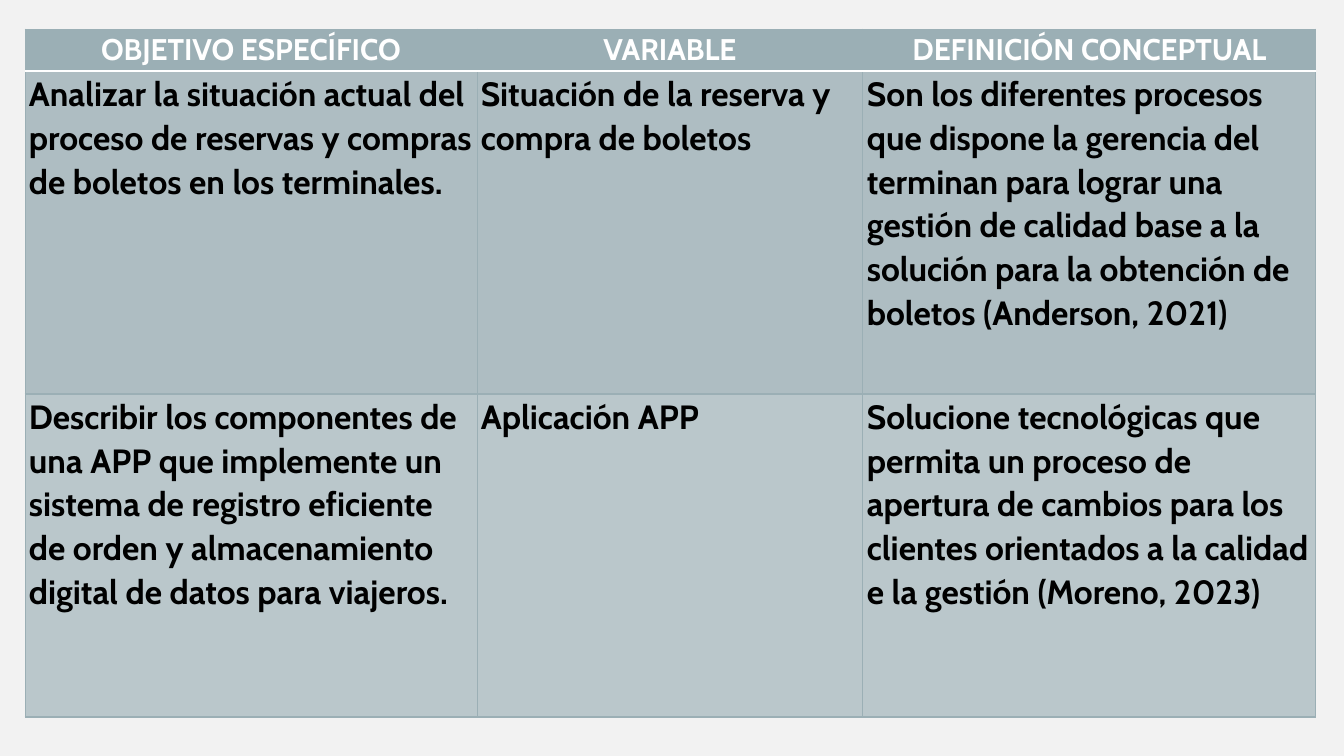
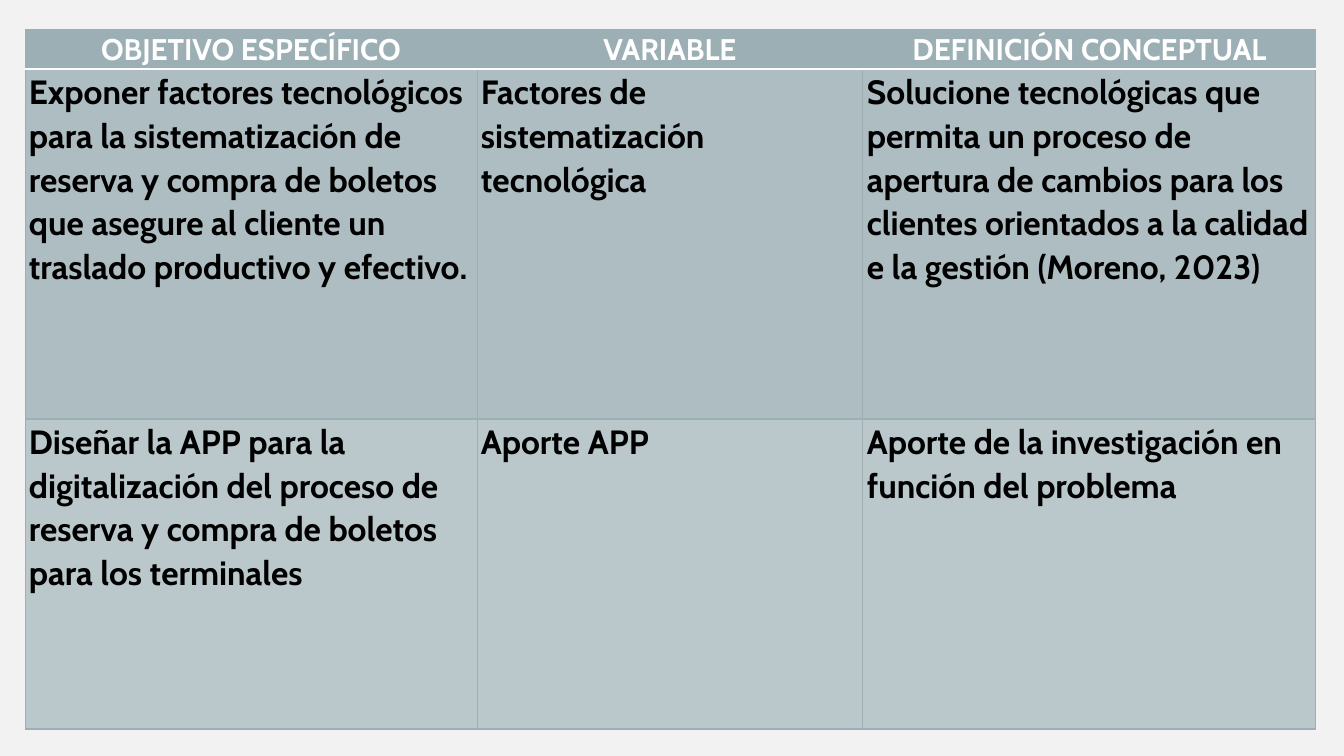
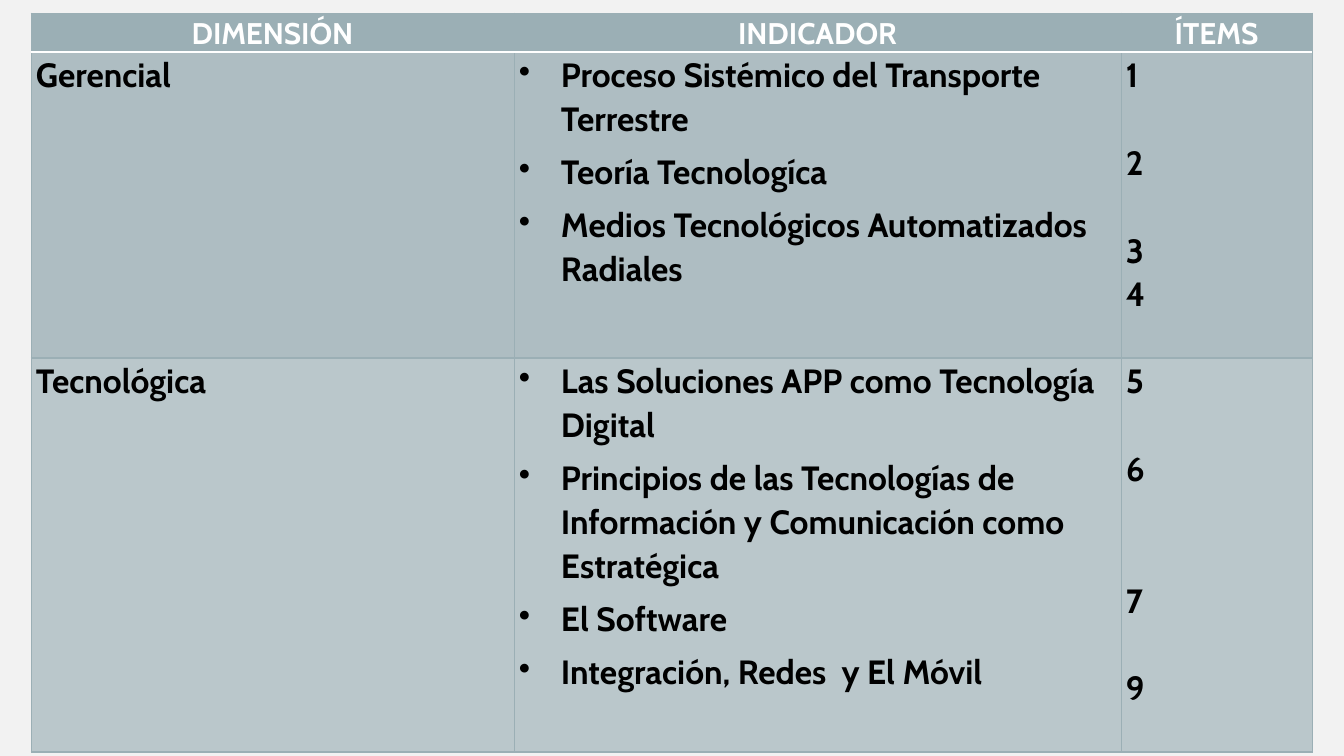
import pptx
import pptx.dml.color
import pptx.enum.text
import pptx.oxml
import pptx.oxml.ns
import pptx.util

PX = 914400 * 10 / 1344
FONT = "Cabin"
COLORS = {
    "page": "F2F2F2",
    "accent": "9BAFB5",
    "first": "AEBDC2",
    "second": "BAC7CB",
    "white": "FFFFFF",
    "text": "000000",
}
ROW_FILLS = ["accent", "first", "second"]
# Colour and width in points of each row's top and bottom edges
ROW_EDGES = [
    {"T": ("accent", 0.5), "B": ("white", 1)},
    {"T": ("accent", 0.5), "B": ("accent", 0.5)},
    {"T": ("accent", 1), "B": ("accent", 1)},
]
SIDE_EDGES = {"L": ("accent", 0.5), "R": ("accent", 0.5)}
BULLET_INDENT = 42
LINE = 44

OBJECTIVE_HEADERS = ["OBJETIVO ESPECÍFICO", "VARIABLE", "DEFINICIÓN CONCEPTUAL"]
OBJECTIVE_COLUMNS = [452, 386, 453]
TECHNOLOGY_DEFINITION = (
    "Solucione tecnológicas que permita un proceso de apertura de cambios para los "
    "clientes orientados a la calidad e la gestión (Moreno, 2023)"
)
CURRENT_OBJECTIVES = [
    [
        "Analizar la situación actual del proceso de reservas y compras de boletos "
        "en los terminales.",
        "Situación de la reserva y compra de boletos",
        "Son los diferentes procesos que dispone la gerencia del terminan para lograr "
        "una gestión de calidad base a la solución para la obtención de boletos "
        "(Anderson, 2021)",
    ],
    [
        "Describir los componentes de una APP que implemente un sistema de registro "
        "eficiente de orden y almacenamiento digital de datos para viajeros.",
        "Aplicación APP",
        TECHNOLOGY_DEFINITION,
    ],
]
DESIGN_OBJECTIVES = [
    [
        "Exponer factores tecnológicos para la sistematización de reserva y compra de "
        "boletos que asegure al cliente un traslado productivo y efectivo.",
        "Factores de sistematización tecnológica",
        TECHNOLOGY_DEFINITION,
    ],
    [
        "Diseñar la APP para la digitalización del proceso de reserva y compra de "
        "boletos para los terminales",
        "Aporte APP",
        "Aporte de la investigación en función del problema",
    ],
]
# Dimension, indicators, and items with the blank lines that follow each
DIMENSIONS = [
    (
        "Gerencial",
        [
            "Proceso Sistémico del Transporte Terrestre",
            "Teoría Tecnologíca",
            "Medios Tecnológicos Automatizados Radiales",
        ],
        [("1", 1), ("2", 1), ("3", 0), ("4", 0)],
    ),
    (
        "Tecnológica",
        [
            "Las Soluciones APP como Tecnología Digital",
            "Principios de las Tecnologías de Información y Comunicación como Estratégica",
            "El Software",
            "Integración, Redes  y El Móvil",
        ],
        [("5", 1), ("6", 2), ("7", 1), ("9", 0)],
    ),
]


def px(length):
    return pptx.util.Emu(round(length * PX))


def rgb(name):
    return pptx.dml.color.RGBColor.from_string(COLORS[name])


def add_page(deck):
    page = deck.slides.add_slide(deck.slide_layouts[6])
    page.background.fill.solid()
    page.background.fill.fore_color.rgb = rgb("page")
    return page


def write(para, text, size=18, color="text", centered=False, bullet=False, after=0):
    para.line_spacing = 1.07
    para.space_after = after
    if centered:
        para.alignment = pptx.enum.text.PP_ALIGN.CENTER
    if bullet:
        properties = para._p.get_or_add_pPr()
        properties.set("marL", str(px(BULLET_INDENT)))
        properties.set("indent", str(-px(BULLET_INDENT)))
        mark = pptx.oxml.parse_xml(
            f'<a:buChar {pptx.oxml.ns.nsdecls("a")} char="•"/>')
        properties.append(mark)
    span = para.add_run()
    span.text = text
    span.font.name = FONT
    span.font.size = pptx.util.Pt(size)
    span.font.bold = True
    span.font.color.rgb = rgb(color)


def write_cell(cell, lines):
    """Write (text, format) pairs, one paragraph each."""
    frame = cell.text_frame
    for index, (text, look) in enumerate(lines):
        para = frame.add_paragraph() if index else frame.paragraphs[0]
        write(para, text, **look)


def draw_edges(cell, edges):
    properties = cell._tc.get_or_add_tcPr()
    for index, side in enumerate("LRTB"):
        color, width = edges[side]
        line = pptx.oxml.parse_xml(
            f'<a:ln{side} {pptx.oxml.ns.nsdecls("a")} w="{pptx.util.Pt(width)}">'
            f'<a:solidFill><a:srgbClr val="{COLORS[color]}"/></a:solidFill>'
            f'</a:ln{side}>')
        properties.insert(index, line)


def add_grid(page, left, top, columns, rows, headers, body, inset):
    """Add a table whose body cells are lists of (text, format) pairs."""
    table = page.shapes.add_table(
        len(rows), len(columns), px(left), px(top), px(sum(columns)), px(sum(rows))
    ).table
    table.horz_banding = False
    for column, width in zip(table.columns, columns):
        column.width = px(width)
    header_look = {"size": 16, "color": "white", "centered": True}
    content = [[[(header, header_look)] for header in headers]] + body
    for row_index, row_lines in enumerate(content):
        table.rows[row_index].height = px(rows[row_index])
        for column_index, lines in enumerate(row_lines):
            cell = table.cell(row_index, column_index)
            cell.margin_left = cell.margin_right = px(inset)
            cell.margin_top = cell.margin_bottom = 0
            cell.fill.solid()
            cell.fill.fore_color.rgb = rgb(ROW_FILLS[row_index])
            draw_edges(cell, SIDE_EDGES | ROW_EDGES[row_index])
            write_cell(cell, lines)


def add_objectives_page(deck, rows, objectives):
    body = [[[(text, {})] for text in row] for row in objectives]
    add_grid(add_page(deck), 25, 29, OBJECTIVE_COLUMNS, rows,
             OBJECTIVE_HEADERS, body, inset=4)


def add_dimensions_page(deck):
    indicator_look = {"bullet": True, "after": pptx.util.Pt(5)}
    body = [
        [
            [(dimension, {})],
            [(indicator, indicator_look) for indicator in indicators],
            [(item, {"after": px(blanks * LINE)}) for item, blanks in items],
        ]
        for dimension, indicators, items in DIMENSIONS
    ]
    add_grid(add_page(deck), 31, 13, [483, 607, 191], [39, 306, 394],
             ["DIMENSIÓN", "INDICADOR", "ÍTEMS"], body, inset=5)


def main():
    deck = pptx.Presentation()
    deck.slide_width, deck.slide_height = px(1344), px(756)
    add_objectives_page(deck, [42, 323, 323], CURRENT_OBJECTIVES)
    add_objectives_page(deck, [40, 350, 310], DESIGN_OBJECTIVES)
    add_dimensions_page(deck)
    deck.save("out.pptx")


if __name__ == "__main__":
    main()
